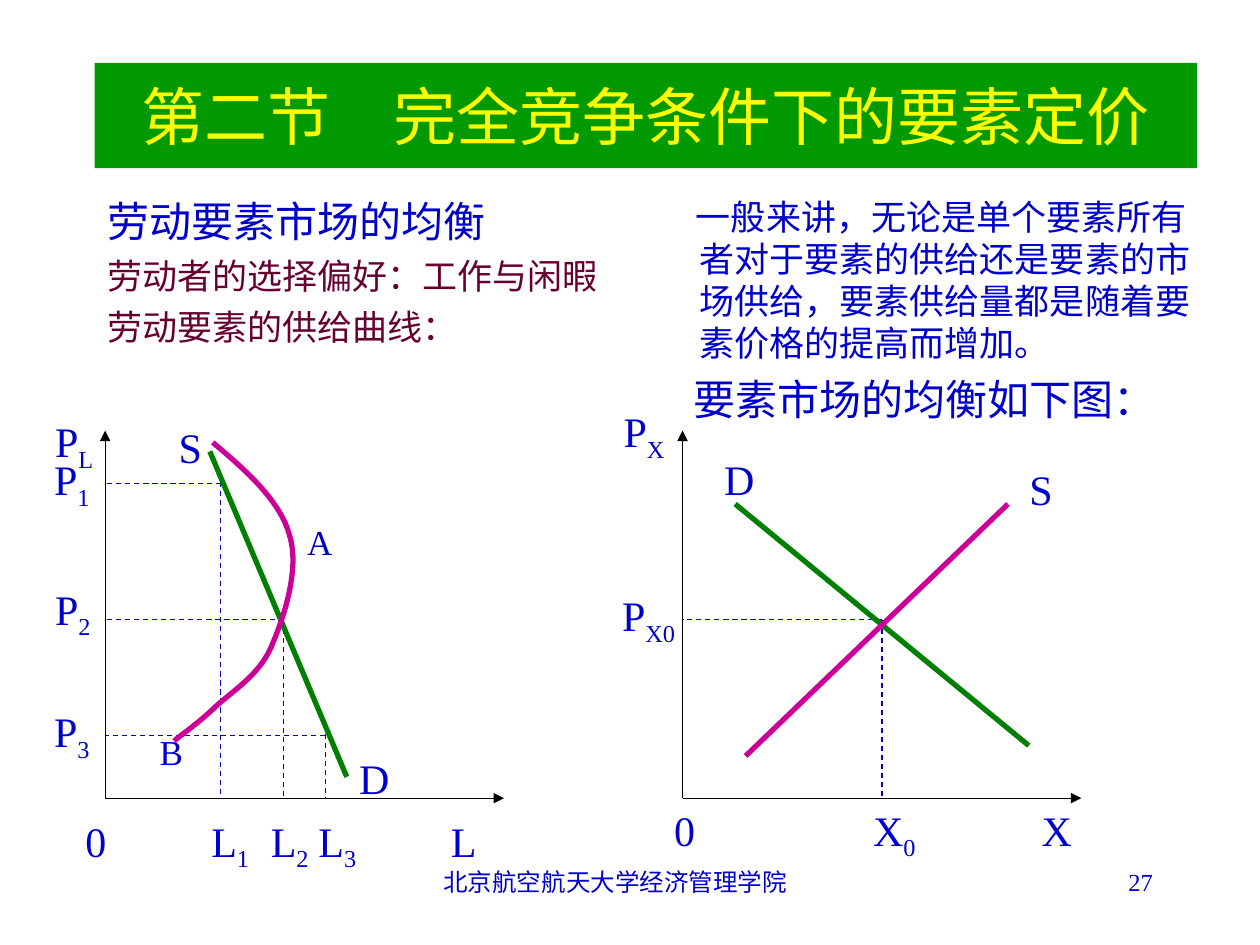
from typing import NamedTuple, Optional

from pptx import Presentation
from pptx import util as u
from pptx.dml.color import RGBColor
from pptx.enum import dml, shapes, text
from pptx.oxml.ns import qn

COLORS = {"blue": "0000CC", "maroon": "660033", "yellow": "FFFF00", "banner": "009900",
          "demand": "008000", "supply": "CC0099", "axis": "000000"}
FONT = "Times New Roman"


class Line(NamedTuple):
    x1: float
    y1: float
    x2: float
    y2: float
    color: str
    width: float = 0.75
    dashed: bool = False
    arrow: bool = False


class Label(NamedTuple):
    left: float
    top: float
    letter: str
    subscript: str = ""
    size: int = 24


class Para(NamedTuple):
    words: str
    size: int
    color: str = "blue"
    before: float = 0
    align: Optional[text.PP_ALIGN] = None
    margin: float = 0
    indent: float = 0


def rgb(name: str) -> RGBColor:
    return RGBColor.from_string(COLORS[name])


def style_font(paragraph, size: int, color: str) -> None:
    paragraph.font.name = FONT
    paragraph.font.size = u.Pt(size)
    paragraph.font.color.rgb = rgb(color)


def write_paragraphs(frame, paras: list[Para]) -> None:
    frame.word_wrap = True
    for index, para in enumerate(paras):
        paragraph = frame.add_paragraph() if index else frame.paragraphs[0]
        paragraph.text = para.words
        if para.align is not None:
            paragraph.alignment = para.align
        if para.before:
            paragraph.space_before = u.Pt(para.before)
        if para.margin:
            properties = paragraph._p.get_or_add_pPr()
            properties.set("marL", str(u.Cm(para.margin)))
            properties.set("indent", str(u.Cm(para.indent)))
        style_font(paragraph, para.size, para.color)


def add_text(slide, left: float, top: float, width: float, height: float,
             paras: list[Para]) -> None:
    box = slide.shapes.add_textbox(u.Cm(left), u.Cm(top), u.Cm(width), u.Cm(height))
    write_paragraphs(box.text_frame, paras)


def add_banner(slide, title: str) -> None:
    banner = slide.shapes.add_shape(shapes.MSO_SHAPE.RECTANGLE,
                                    u.Cm(1.91), u.Cm(1.27), u.Cm(22.22), u.Cm(2.12))
    banner.shadow.inherit = False
    banner.fill.solid()
    banner.fill.fore_color.rgb = rgb("banner")
    banner.line.fill.background()
    banner.text_frame.vertical_anchor = text.MSO_ANCHOR.MIDDLE
    write_paragraphs(banner.text_frame,
                     [Para(title, 36, "yellow", align=text.PP_ALIGN.CENTER)])


def add_line(slide, line: Line) -> None:
    connector = slide.shapes.add_connector(
        shapes.MSO_CONNECTOR.STRAIGHT,
        u.Cm(line.x1), u.Cm(line.y1), u.Cm(line.x2), u.Cm(line.y2))
    connector.line.color.rgb = rgb(line.color)
    connector.line.width = u.Pt(line.width)
    if line.dashed:
        connector.line.dash_style = dml.MSO_LINE.DASH
    properties = connector._element.spPr
    if line.arrow:
        outline = connector.line._get_or_add_ln()
        outline.append(outline.makeelement(qn("a:tailEnd"), {"type": "triangle"}))
    properties.append(properties.makeelement(qn("a:effectLst"), {}))


def add_label(slide, label: Label) -> None:
    box = slide.shapes.add_textbox(u.Cm(label.left), u.Cm(label.top), u.Cm(1.8), u.Cm(1.4))
    box.text_frame.word_wrap = True
    paragraph = box.text_frame.paragraphs[0]
    paragraph.add_run().text = label.letter
    if label.subscript:
        lowered = paragraph.add_run()
        lowered.text = label.subscript
        lowered.font._element.set("baseline", "-25000")
    style_font(paragraph, label.size, "blue")


def bezier_point(controls: list[tuple[float, float]], t: float) -> tuple[int, int]:
    weights = ((1 - t) ** 3, 3 * t * (1 - t) ** 2, 3 * t ** 2 * (1 - t), t ** 3)
    x, y = (sum(w * c[axis] for w, c in zip(weights, controls)) for axis in (0, 1))
    return u.Cm(x), u.Cm(y)


def add_curve(slide, controls: list[tuple[float, float]], color: str, steps: int = 16) -> None:
    points = [bezier_point(controls[start:start + 4], step / steps)
              for start in range(0, len(controls) - 1, 3)
              for step in range(1, steps + 1)]
    builder = slide.shapes.build_freeform(u.Cm(controls[0][0]), u.Cm(controls[0][1]))
    builder.add_line_segments(points, close=False)
    curve = builder.convert_to_shape()
    curve.shadow.inherit = False
    curve.fill.background()
    curve.line.color.rgb = rgb(color)
    curve.line.width = u.Pt(3)


BASE, AXIS_TOP, AXIS_LENGTH = 16.09, 8.68, 8.04
LABOR_X, FACTOR_X = 2.12, 13.76

LABOR_GUIDES = [(4.45, 9.74, 9.53), (5.72, 12.49, 12.49), (6.56, 14.82, 14.61)]
FACTOR_GUIDES = [(17.78, 12.49, 12.49)]
CURVES = [
    Line(4.23, 9.1, 6.99, 15.66, "demand", 3),
    Line(14.82, 10.16, 20.74, 15.03, "demand", 3),
    Line(20.32, 10.16, 15.03, 15.24, "supply", 3),
]
LABOR_SUPPLY = [
    (4.29, 8.92), (4.98, 9.5), (5.66, 10.11), (5.84, 10.8),
    (6.05, 11.48), (5.72, 12.47), (5.46, 13.06),
    (5.21, 13.64), (4.6, 13.99), (4.29, 14.3),
    (3.96, 14.61), (3.63, 14.83), (3.51, 14.94),
]
LABELS = [
    Label(0.86, 8.26, "P", "L"), Label(0.84, 9.02, "P", "1"),
    Label(0.86, 11.63, "P", "2"), Label(0.84, 14.1, "P", "3"),
    Label(3.35, 8.38, "S"), Label(6.99, 15.04, "D"),
    Label(5.94, 10.36, "A", size=20), Label(2.97, 14.61, "B", size=20),
    Label(1.47, 16.31, "0"), Label(4.01, 16.31, "L", "1"),
    Label(5.21, 16.31, "L", "2"), Label(6.17, 16.31, "L", "3"), Label(8.84, 16.31, "L"),
    Label(12.32, 8.05, "P", "X"), Label(12.29, 11.76, "P", "X0"),
    Label(14.35, 9.02, "D"), Label(20.5, 9.22, "S"),
    Label(13.34, 16.09, "0"), Label(17.35, 16.09, "X", "0"), Label(20.75, 16.09, "X"),
]
LABOR_NOTES = [
    Para("劳动要素市场的均衡", 24),
    Para("劳动者的选择偏好：工作与闲暇", 20, "maroon", 5),
    Para("劳动要素的供给曲线：", 20, "maroon", 5),
]
FACTOR_NOTES = [
    Para("一般来讲，无论是单个要素所有者对于要素的供给还是要素的市场供给，"
         "要素供给量都是随着要素价格的提高而增加。", 20, margin=0.95, indent=-0.07),
    Para("要素市场的均衡如下图：", 24, before=6, margin=0.95, indent=-0.12),
]


def main() -> None:
    deck = Presentation()
    deck.slide_width, deck.slide_height = u.Cm(25.4), u.Cm(19.05)
    slide = deck.slides.add_slide(deck.slide_layouts[6])
    add_banner(slide, "第二节　完全竞争条件下的要素定价")
    add_text(slide, 1.91, 3.81, 10.58, 4.2, LABOR_NOTES)
    add_text(slide, 12.9, 3.81, 11.43, 5, FACTOR_NOTES)
    for origin, guides in ((LABOR_X, LABOR_GUIDES), (FACTOR_X, FACTOR_GUIDES)):
        add_line(slide, Line(origin, BASE, origin + AXIS_LENGTH, BASE, "axis", arrow=True))
        add_line(slide, Line(origin, BASE, origin, AXIS_TOP, "axis", arrow=True))
        for quantity, price, start in guides:
            add_line(slide, Line(quantity, price, origin, price, "blue", dashed=True))
            add_line(slide, Line(quantity, start, quantity, BASE, "blue", dashed=True))
    for curve in CURVES:
        add_line(slide, curve)
    add_curve(slide, LABOR_SUPPLY, "supply")
    for label in LABELS:
        add_label(slide, label)
    add_text(slide, 8.38, 17.36, 8.05, 1.27,
             [Para("北京航空航天大学经济管理学院", 14, align=text.PP_ALIGN.CENTER)])
    add_text(slide, 18.2, 17.36, 5.29, 1.27, [Para("27", 14, align=text.PP_ALIGN.RIGHT)])
    deck.save("out.pptx")


if __name__ == "__main__":
    main()
